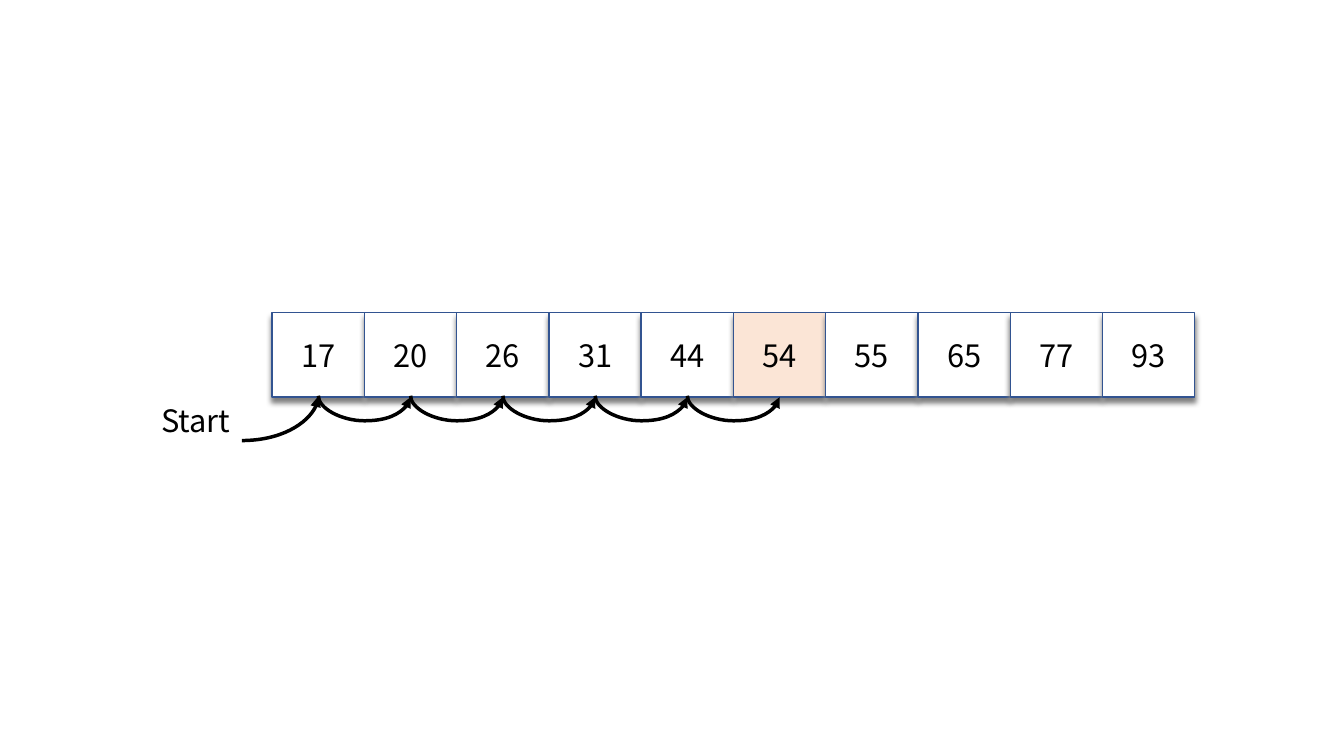
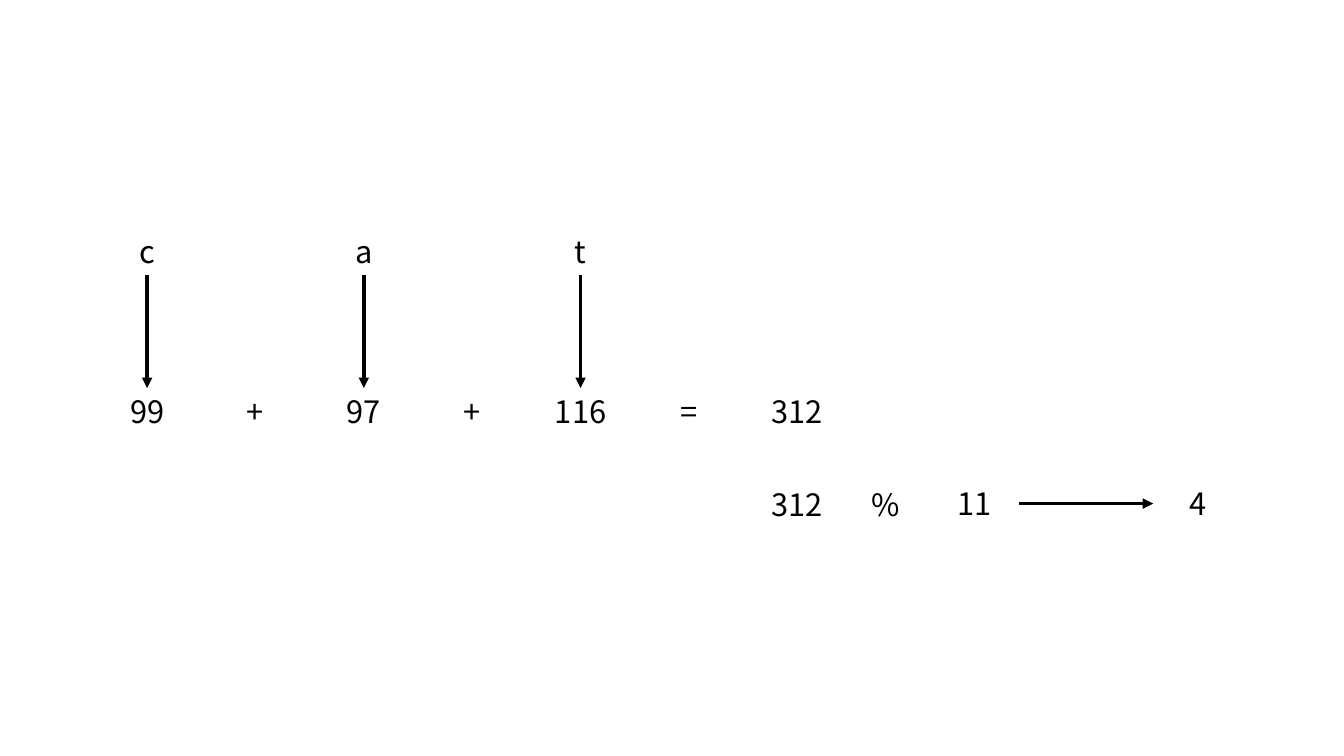
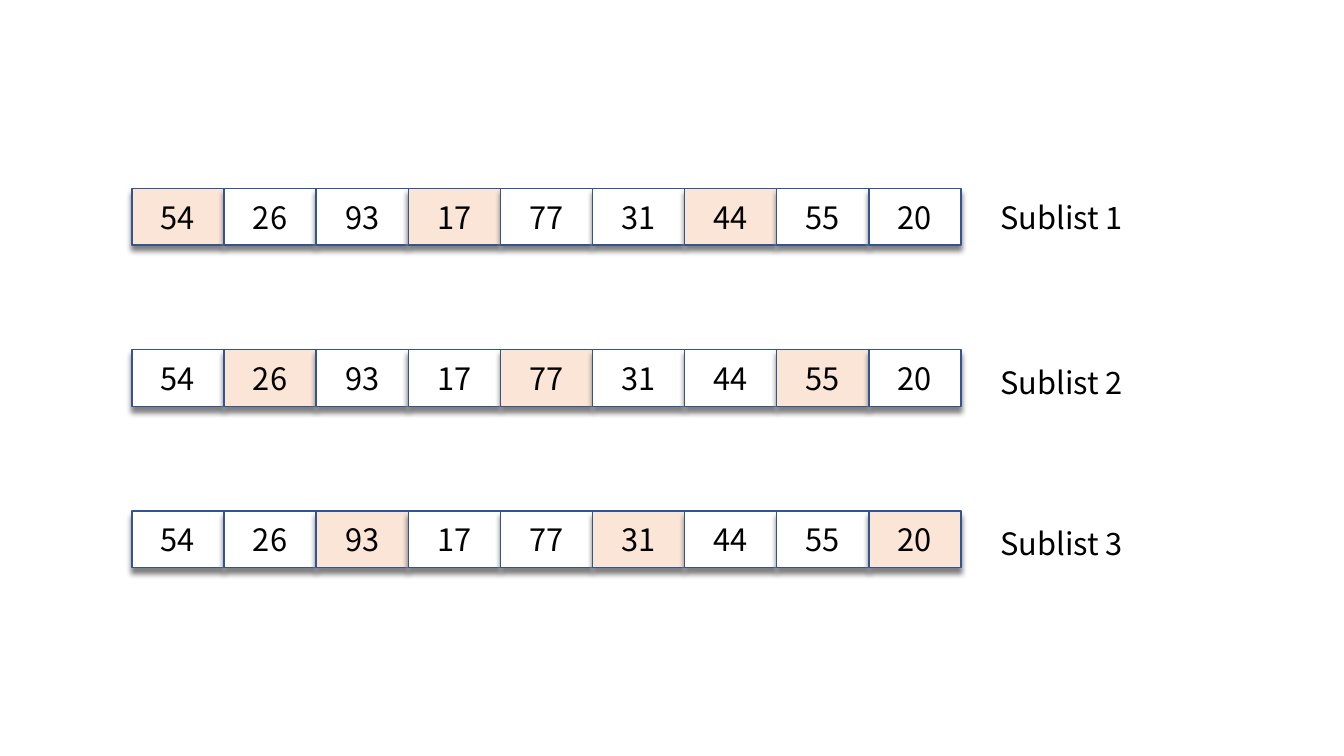
from collections import namedtuple
from dataclasses import dataclass

from lxml.etree import SubElement
from pptx import Presentation
from pptx.dml.color import RGBColor as RGB
from pptx.enum.shapes import MSO_CONNECTOR as LINK, MSO_SHAPE as SHAPE
from pptx.enum.text import MSO_ANCHOR as ANCHOR, MSO_AUTO_SIZE as FIT, PP_ALIGN as ALIGN
from pptx.oxml.ns import qn
from pptx.util import Pt

Box = namedtuple("Box", "x y w h")


@dataclass(frozen=True)
class Theme:
    font: str = "Noto Sans CJK KR"
    size: float = 22
    ink: RGB = RGB(0, 0, 0)
    plain: RGB = RGB(0xFF, 0xFF, 0xFF)
    mark: RGB = RGB(0xFB, 0xE5, 0xD6)
    edge: RGB = RGB(0x32, 0x54, 0x91)
    shade: str = "808080"
    thin: float = 1
    bold: float = 2.5
    line: float = 34  # height of a one-line label


THEME = Theme()


def style(item, form):
    for name, value in form.items():
        setattr(item, name, value)


def write(shape, text, align):
    para = shape.text_frame.paragraphs[0]
    para.alignment = align
    run = para.add_run()
    run.text = text
    style(run.font, {"name": THEME.font, "size": Pt(THEME.size)})
    run.font.color.rgb = THEME.ink


def label(slide, text, box, align=ALIGN.CENTER):
    shape = slide.shapes.add_textbox(*map(Pt, box))
    style(shape.text_frame, {"word_wrap": True, "auto_size": FIT.SHAPE_TO_FIT_TEXT})
    write(shape, text, align)
    return shape


def shade(shape):
    """Give the shape a soft shadow straight below it."""
    shape.shadow.inherit = False
    effects = shape.element.spPr.find(qn("a:effectLst"))
    drop = SubElement(effects, qn("a:outerShdw"), blurRad=str(Pt(4)),
                      dist=str(Pt(4)), dir="5400000", rotWithShape="0")
    SubElement(drop, qn("a:srgbClr"), val=THEME.shade)


def cell(slide, text, box, fill):
    shape = slide.shapes.add_shape(SHAPE.RECTANGLE, *map(Pt, box))
    shape.fill.solid()
    shape.fill.fore_color.rgb = fill
    shape.line.color.rgb = THEME.edge
    shape.line.width = Pt(THEME.thin)
    shade(shape)
    shape.text_frame.vertical_anchor = ANCHOR.MIDDLE
    write(shape, text, ALIGN.CENTER)


def strip(slide, box, values, marked):
    """Split the box into one cell per value and tint the marked indexes."""
    step = box.w / len(values)
    for i, value in enumerate(values):
        fill = THEME.mark if i in marked else THEME.plain
        cell(slide, str(value), Box(box.x + i * step, box.y, step, box.h), fill)


def arrow(slide, start, end, kind=LINK.STRAIGHT):
    link = slide.shapes.add_connector(kind, *map(Pt, (*start, *end)))
    link.line.color.rgb = THEME.ink
    link.line.width = Pt(THEME.bold)
    SubElement(link.line._get_or_add_ln(), qn("a:tailEnd"), type="triangle")
    SubElement(link.element.spPr, qn("a:effectLst"))
    return link


def join(slide, first, side, last, onto):
    """Draw an arrow between the middles of two labels' sides."""
    link = arrow(slide, (0, 0), (0, 0))
    link.begin_connect(first, side)
    link.end_connect(last, onto)


def hop(slide, x, y, span):
    """Draw an arc that dips 18 points below y: a turned curve, one point wide."""
    mid = x + span / 2
    link = arrow(slide, (mid + 0.5, y - span / 2), (mid - 0.5, y + span / 2), LINK.CURVE)
    props = link.element.spPr
    props.xfrm.rot = 270
    guides = props.prstGeom.get_or_add_avLst()
    SubElement(guides, qn("a:gd"), name="adj1", fmla="val 1800000")


def search(slide, box):
    values = (17, 20, 26, 31, 44, 54, 55, 65, 77, 93)
    found = values.index(54)
    step = box.w / len(values)
    base = box.y + box.h - 0.5
    mid = box.x + step / 2
    strip(slide, box, values, {found})
    tag = Box(box.x - 87.8, base, 66.2, THEME.line)
    label(slide, "Start", tag)
    lead = arrow(slide, (tag.x + tag.w, base + 31.5), (mid, base), LINK.CURVE)
    lead.element.spPr.prstGeom.set("prst", "curvedConnector2")
    for i in range(found):
        hop(slide, mid + i * step, base, step)


def hashing(slide, box):
    step, wide = 77.4, 63.4

    def term(text, x, y):
        return label(slide, text, Box(box.x + x, box.y + y, wide, THEME.line))

    total = 6 * step
    terms = [term(text, i * step, 114.5)
             for i, text in enumerate(("99", "+", "97", "+", "116", "=", "312"))]
    term("312", total, 180.7)
    term("%", total + wide, 180.7)
    size = term("11", total + 2 * wide, 180)
    slot = term("4", box.w - wide, 180)
    join(slide, size, 3, slot, 1)
    for i, text in enumerate("cat"):
        join(slide, term(text, 2 * i * step, 0), 2, terms[2 * i], 0)


def sublists(slide, box):
    values = (54, 26, 93, 17, 77, 31, 44, 55, 20)
    drops = (3.6, 6.5, 6.5)
    gap = len(drops)
    high = 40.4
    step = (box.h - high) / (gap - 1)
    for i, drop in enumerate(drops):
        y = box.y + i * step
        strip(slide, Box(box.x, y, box.w, high), values, range(i, len(values), gap))
        tag = Box(box.x + box.w + 21.2, y + drop, 158, THEME.line)
        label(slide, f"Sublist {i + 1}", tag, ALIGN.LEFT)


def main():
    deck = Presentation()
    style(deck, {"slide_width": Pt(960), "slide_height": Pt(540)})
    for draw, box in (
        (search, Box(194.4, 223.2, 659, 60.5)),
        (hashing, Box(73.4, 162.7, 813.7, 214)),
        (sublists, Box(94.2, 134.6, 592.2, 270.8)),
    ):
        draw(deck.slides.add_slide(deck.slide_layouts[6]), box)
    deck.save("out.pptx")


if __name__ == "__main__":
    main()
